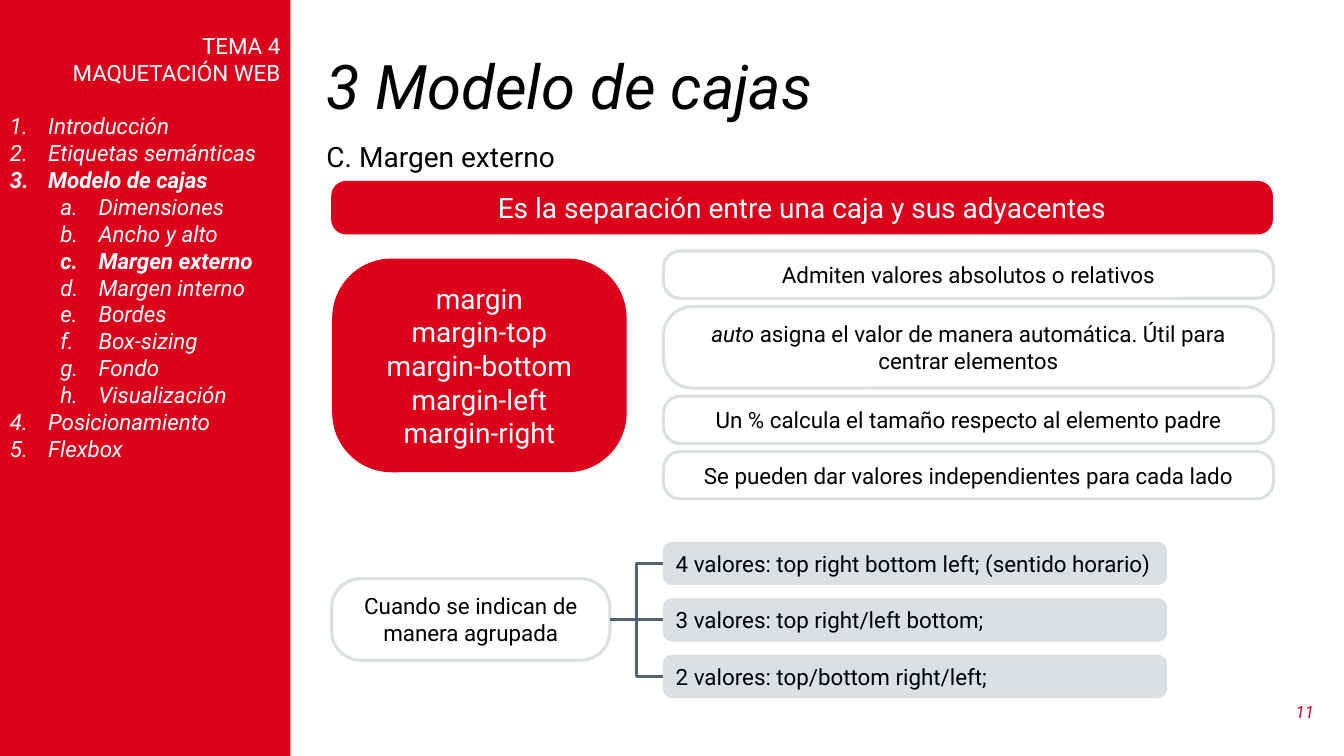
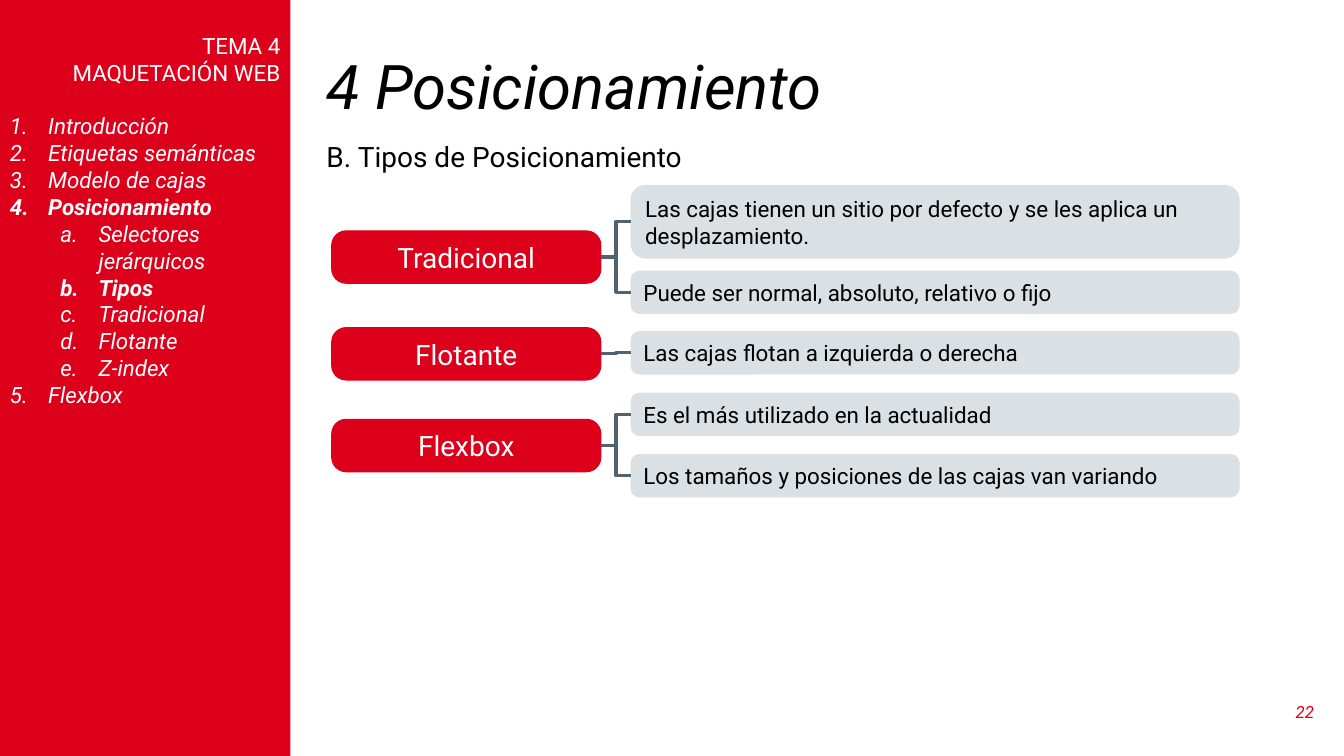
from pptx import Presentation
from pptx.dml.color import RGBColor
from pptx.enum.shapes import MSO_CONNECTOR as Conn, MSO_SHAPE as Geo
from pptx.enum.text import MSO_ANCHOR as Anchor, PP_ALIGN as Align
from pptx.oxml.ns import qn
from pptx.util import Inches, Pt
from lxml.etree import SubElement

RED, GREY, SLATE = "DC001B", "DAE0E4", "516270"
WHITE, BLACK = "FFFFFF", "000000"
FONT = "Roboto"

HEADS = ["TEMA 4", "MAQUETACIÓN WEB"]
TOPICS = ["Introducción", "Etiquetas semánticas", "Modelo de cajas",
          "Posicionamiento", "Flexbox"]

BOX = {
    "title": "3 Modelo de cajas", "sub": "C. Margen externo", "num": "11",
    "topic": "Modelo de cajas", "part": "Margen externo",
    "parts": ["Dimensiones", "Ancho y alto", "Margen externo", "Margen interno",
              "Bordes", "Box-sizing", "Fondo", "Visualización"],
}
PLACE = {
    "title": "4 Posicionamiento", "sub": "B. Tipos de Posicionamiento", "num": "22",
    "topic": "Posicionamiento", "part": "Tipos",
    "parts": ["Selectores jerárquicos", "Tipos", "Tradicional", "Flotante", "Z-index"],
}

BANNER = "Es la separación entre una caja y sus adyacentes"
PROPS = ["margin", "margin-top", "margin-bottom", "margin-left", "margin-right"]
HINTS = [
    ("Admiten valores absolutos o relativos", 0.47),
    ([("auto", {"italic": True}),
      " asigna el valor de manera automática. Útil para centrar elementos"], 0.81),
    ("Un % calcula el tamaño respecto al elemento padre", 0.47),
    ("Se pueden dar valores independientes para cada lado", 0.47),
]
SHORT = "Cuando se indican de manera agrupada"
VALUES = ["4 valores: top right bottom left; (sentido horario)",
          "3 valores: top right/left bottom;",
          "2 valores: top/bottom right/left;"]

TYPES = [
    ("Tradicional", 2.29, [
        ("Las cajas tienen un sitio por defecto y se les aplica un desplazamiento.", 1.84, 0.72),
        ("Puede ser normal, absoluto, relativo o fijo", 2.69, 0.42)]),
    ("Flotante", 3.25, [
        ("Las cajas flotan a izquierda o derecha", 3.29, 0.42)]),
    ("Flexbox", 4.16, [
        ("Es el más utilizado en la actualidad", 3.9, 0.42),
        ("Los tamaños y posiciones de las cajas van variando", 4.51, 0.42)]),
]

STYLES = {
    "red": dict(fill=RED, line=RED, width=0.75, turn=0.277, size=20, ink=WHITE, align=Align.CENTER),
    "open": dict(fill=None, line=GREY, width=2.25, turn=0.357, size=16, ink=BLACK, align=Align.CENTER),
    "grey": dict(fill=GREY, line=GREY, width=0.75, turn=0.195, size=16, ink=BLACK, align=Align.LEFT),
}


def rgb(code):
    return RGBColor.from_string(code)


def area(*sizes):
    return [Inches(size) for size in sizes]


def add_run(para, text, size, ink, bold=False, italic=False):
    run = para.add_run()
    run.text = text
    font = run.font
    font.name, font.size = FONT, Pt(size)
    font.bold, font.italic = bold, italic
    font.color.rgb = rgb(ink)


def next_para(frame):
    first = frame.paragraphs[0]
    return frame.add_paragraph() if first.runs else first


def add_text(frame, lines, size, ink, align=Align.LEFT, italic=False):
    frame.word_wrap = True
    for line in lines:
        para = next_para(frame)
        para.alignment = align
        for part in [line] if isinstance(line, str) else line:
            text, extra = (part, {}) if isinstance(part, str) else part
            add_run(para, text, size, ink, **{"italic": italic, **extra})


def add_box(slide, kind, lines, *place):
    style = STYLES[kind]
    box = slide.shapes.add_shape(Geo.ROUNDED_RECTANGLE, *area(*place))
    box.shadow.inherit = False
    box.adjustments[0] = style["turn"]
    if style["fill"]:
        box.fill.solid()
        box.fill.fore_color.rgb = rgb(style["fill"])
    else:
        box.fill.background()
    box.line.color.rgb = rgb(style["line"])
    box.line.width = Pt(style["width"])
    box.text_frame.vertical_anchor = Anchor.MIDDLE
    add_text(box.text_frame, lines, style["size"], style["ink"], style["align"])
    return box


def add_link(slide, root, leaf):
    link = slide.shapes.add_connector(
        Conn.ELBOW, root.left + root.width, root.top + root.height // 2,
        leaf.left, leaf.top + leaf.height // 2)
    link.begin_connect(root, 3)
    link.end_connect(leaf, 1)
    link.line.color.rgb = rgb(SLATE)
    link.line.width = Pt(2.25)
    SubElement(link.element.spPr, qn("a:effectLst"))


def add_label(slide, text, size, ink, place, **look):
    label = slide.shapes.add_textbox(*area(*place))
    label.text_frame.vertical_anchor = Anchor.MIDDLE
    add_text(label.text_frame, [text], size, ink, **look)


def add_item(frame, text, level, bold):
    para = next_para(frame)
    para.alignment = Align.LEFT
    para.level = level
    props = para._p.get_or_add_pPr()
    props.set("marL", str(Inches((0.38, 0.88)[level])))
    props.set("indent", str(Inches(-0.38)))
    scheme = ("arabicPeriod", "alphaLcPeriod")[level]
    SubElement(props, qn("a:buFont"), typeface="+mj-lt")
    SubElement(props, qn("a:buAutoNum"), type=scheme)
    add_run(para, text, 16, WHITE, bold, True)
    return para


def add_side(slide, page):
    side = slide.shapes.add_shape(Geo.RECTANGLE, *area(0, 0, 2.88, 7.5))
    side.shadow.inherit = False
    side.fill.solid()
    side.fill.fore_color.rgb = rgb(RED)
    side.line.fill.background()
    frame = side.text_frame
    frame.vertical_anchor = Anchor.TOP
    frame.margin_top = Inches(0.32)
    add_text(frame, HEADS, 16, WHITE, Align.RIGHT)
    for topic in TOPICS:
        chosen = topic == page["topic"]
        item = add_item(frame, topic, 0, chosen)
        if topic == TOPICS[0]:
            item.space_before = Pt(19)
        for part in page["parts"] if chosen else []:
            add_item(frame, part, 1, part == page["part"])


def add_page(deck, page):
    slide = deck.slides.add_slide(deck.slide_layouts[5])
    title = slide.shapes.title
    title.left, title.top, title.width, title.height = area(3.14, 0.5, 9.99, 0.78)
    title.text_frame.vertical_anchor = Anchor.MIDDLE
    add_text(title.text_frame, [page["title"]], 44, BLACK, italic=True)
    title.text_frame.paragraphs[0].line_spacing = 0.9
    add_side(slide, page)
    add_label(slide, page["num"], 12, RED, (12.62, 6.86, 0.51, 0.4),
              align=Align.RIGHT, italic=True)
    add_label(slide, page["sub"], 20, BLACK, (3.14, 1.33, 7.46, 0.44))
    return slide


def fill_margin(slide):
    add_box(slide, "red", [BANNER], 3.29, 1.8, 9.33, 0.52)
    add_box(slide, "red", PROPS, 3.3, 2.57, 2.91, 2.11)
    top = 2.49
    for text, high in HINTS:
        add_box(slide, "open", [text], 6.58, top, 6.05, high)
        top += high + 0.08
    root = add_box(slide, "open", [SHORT], 3.29, 5.74, 2.76, 0.81)
    for row, text in enumerate(VALUES):
        leaf = add_box(slide, "grey", [text], 6.58, 5.38 + row * 0.56, 4.99, 0.42)
        add_link(slide, root, leaf)


def fill_types(slide):
    for name, top, notes in TYPES:
        root = add_box(slide, "red", [name], 3.29, top, 2.67, 0.52)
        for text, y, high in notes:
            leaf = add_box(slide, "grey", [text], 6.26, y, 6.03, high)
            add_link(slide, root, leaf)


def main():
    deck = Presentation()
    deck.slide_width, deck.slide_height = area(13.33, 7.5)
    fill_margin(add_page(deck, BOX))
    fill_types(add_page(deck, PLACE))
    deck.save("out.pptx")


if __name__ == "__main__":
    main()
